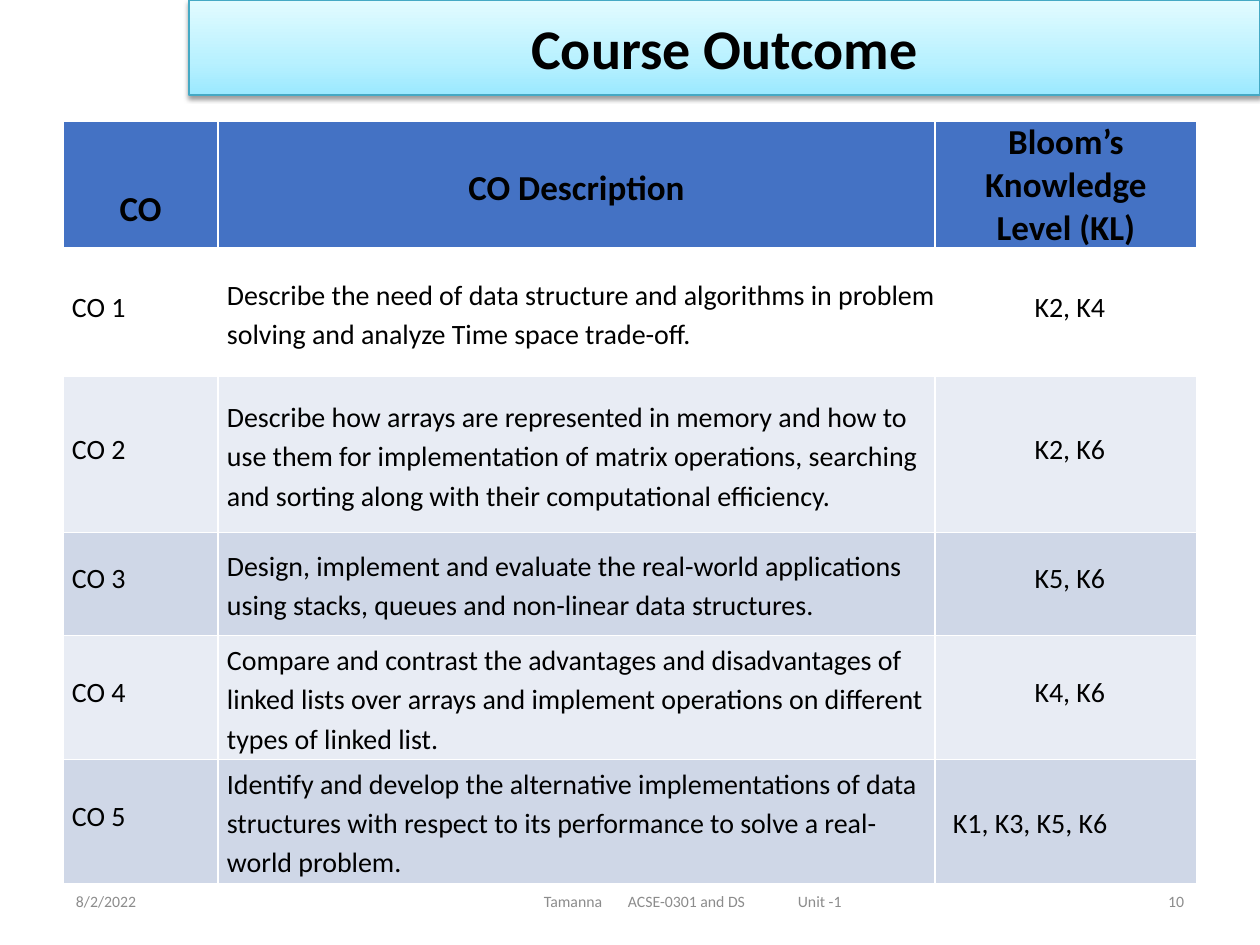
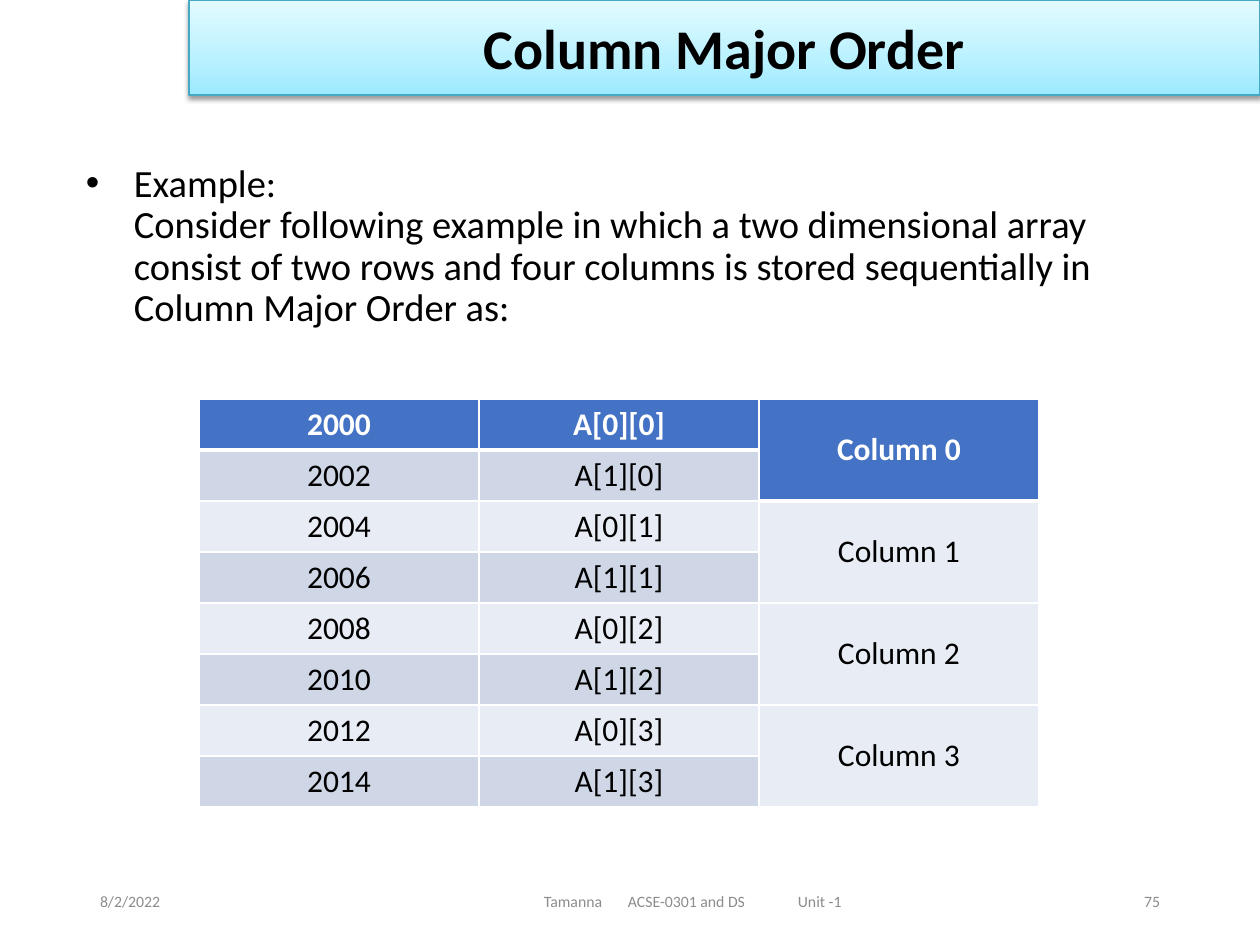
from lxml.etree import SubElement
from pptx import Presentation
from pptx.dml.color import RGBColor
from pptx.enum.shapes import MSO_SHAPE
from pptx.enum.text import MSO_ANCHOR, PP_ALIGN
from pptx.oxml.ns import qn
from pptx.util import Emu, Pt

SLIDE_W, SLIDE_H = 1260, 945
FONT = "Calibri"
BLACK, WHITE, GREY = "000000", "FFFFFF", "8C8C8C"
HEADER_BLUE, BAND_LIGHT, BAND_DARK = "4472C4", "E8ECF4", "CFD7E7"
TITLE_LINE = "45A9C4"
TITLE_STOPS = [(0, "9BE9FF"), (35, "B8F1FF"), (100, "E2FBFF")]
TITLE_BOX = (189, 0, 1071, 95)
FOOTER_TOP, FOOTER_H = 876, 50
LEFT, CENTER, RIGHT = PP_ALIGN.LEFT, PP_ALIGN.CENTER, PP_ALIGN.RIGHT

OUTCOME_HEADS = ["CO", "CO Description", "Bloom’s Knowledge Level (KL)"]
OUTCOMES = [
    ("Describe the need of data structure and algorithms in problem solving "
     "and analyze Time space trade-off.", "K2, K4"),
    ("Describe how arrays are represented in memory and how to use them for "
     "implementation of matrix operations, searching and sorting along with "
     "their computational efficiency.", "K2, K6"),
    ("Design, implement and evaluate the real-world applications using stacks, "
     "queues and non-linear data structures.", "K5, K6"),
    ("Compare and contrast the advantages and disadvantages of linked lists over "
     "arrays and implement operations on different types of linked list.", "K4, K6"),
    ("Identify and develop the alternative implementations of data structures with "
     "respect to its performance to solve a real-world problem.", "K1, K3, K5, K6"),
]
EXAMPLE = ("Example:\vConsider following example in which a two dimensional array "
           "consist of two rows and four columns is stored sequentially in "
           "Column Major Order as:")


def px(n):
    return Emu(round(n * 914400 / 126))


def rgb(value):
    return RGBColor.from_string(value)


def set_margins(obj, left, top, right, bottom):
    obj.margin_left, obj.margin_top = px(left), px(top)
    obj.margin_right, obj.margin_bottom = px(right), px(bottom)


def format_paragraph(p, size, color=BLACK, bold=False, align=LEFT, spacing=None):
    p.alignment = align
    if spacing:
        p.line_spacing = spacing
    for r in p.runs:
        r.font.name, r.font.size, r.font.bold = FONT, Pt(size), bold
        r.font.color.rgb = rgb(color)


def set_indent(p, left, first=0):
    pPr = p._p.get_or_add_pPr()
    pPr.set("marL", str(px(left)))
    pPr.set("indent", str(px(first)))
    return pPr


def add_text(slide, box, text, anchor=MSO_ANCHOR.MIDDLE, left_margin=13):
    """Add a wrapping text box and return its first paragraph."""
    tf = slide.shapes.add_textbox(*map(px, box)).text_frame
    tf.word_wrap = True
    tf.vertical_anchor = anchor
    set_margins(tf, left_margin, 6, 13, 6)
    p = tf.paragraphs[0]
    p.text = text
    return p


def add_title(slide, text, box=TITLE_BOX):
    sp = slide.shapes.add_shape(MSO_SHAPE.RECTANGLE, *map(px, box))
    sp.fill.gradient()
    sp.fill.gradient_angle = 90
    spPr = sp._element.spPr
    stops = spPr.find(".//" + qn("a:gsLst"))
    for stop in list(stops):
        stops.remove(stop)
    for pos, color in TITLE_STOPS:
        gs = SubElement(stops, qn("a:gs"), pos=str(pos * 1000))
        SubElement(gs, qn("a:srgbClr"), val=color)
    sp.line.color.rgb = rgb(TITLE_LINE)
    sp.line.width = Pt(0.75)
    sp.shadow.inherit = False
    shadow = SubElement(spPr.find(qn("a:effectLst")), qn("a:outerShdw"),
                        blurRad=str(Pt(3.1)), dist=str(Pt(1.6)),
                        dir="5400000", rotWithShape="0")
    tint = SubElement(shadow, qn("a:srgbClr"), val=BLACK)
    SubElement(tint, qn("a:alpha"), val="38000")
    tf = sp.text_frame
    tf.text = text
    tf.vertical_anchor = MSO_ANCHOR.MIDDLE
    set_margins(tf, 13, 6, 13, 6)
    format_paragraph(tf.paragraphs[0], 32, bold=True, align=CENTER)


def add_footer(slide, number, margin, width):
    """Date and number sit at equal margins; tabs space out the course line."""
    date = add_text(slide, (margin, FOOTER_TOP, width, FOOTER_H), "8/2/2022")
    format_paragraph(date, 9, GREY)

    course = add_text(slide, (346, FOOTER_TOP, 693, FOOTER_H),
                      "Tamanna\tACSE-0301 and DS\tUnit -1", left_margin=198)
    tabs = SubElement(course._p.get_or_add_pPr(), qn("a:tabLst"))
    for pos in (84, 254):
        SubElement(tabs, qn("a:tab"), pos=str(px(pos)), algn="l")
    format_paragraph(course, 9, GREY)

    number_left = SLIDE_W - margin - width
    page = add_text(slide, (number_left, FOOTER_TOP, width, FOOTER_H), str(number))
    format_paragraph(page, 9, GREY, align=RIGHT)


def add_grid(slide, left, top, col_widths, row_heights):
    frame = slide.shapes.add_table(
        len(row_heights), len(col_widths), px(left), px(top),
        px(sum(col_widths)), px(sum(row_heights)))
    table = frame.table
    for col, width in zip(table.columns, col_widths):
        col.width = px(width)
    for row, height in zip(table.rows, row_heights):
        row.height = px(height)
    return table


def style_cell(cell, fill, margins, top=1, bottom=1):
    """Fill a cell and give it white borders, top and bottom in points."""
    cell.fill.solid()
    cell.fill.fore_color.rgb = rgb(fill)
    cell.vertical_anchor = MSO_ANCHOR.MIDDLE
    set_margins(cell, *margins)
    tcPr = cell._tc.get_or_add_tcPr()
    sides = [("lnL", 1), ("lnR", 1), ("lnT", top), ("lnB", bottom)]
    for i, (side, width) in enumerate(sides):
        ln = SubElement(tcPr, qn("a:" + side), w=str(Pt(width)))
        line_fill = SubElement(ln, qn("a:solidFill"))
        SubElement(line_fill, qn("a:srgbClr"), val=WHITE)
        tcPr.insert(i, ln)


def fill_cell(cell, text):
    cell.text_frame.text = text
    return cell.text_frame.paragraphs[0]


def add_outcome_table(slide, left, top):
    table = add_grid(slide, left, top, [155, 717, 262],
                     [126, 127, 156, 103, 124, 124])
    for col, head in enumerate(OUTCOME_HEADS):
        cell = table.cell(0, col)
        style_cell(cell, HEADER_BLUE, (9, 42 if col == 0 else 0, 9, 0), bottom=3)
        format_paragraph(fill_cell(cell, head), 20, bold=True, align=CENTER,
                         spacing=1.15 if col < 2 else None)

    fills = [WHITE, BAND_LIGHT, BAND_DARK, BAND_LIGHT, BAND_DARK]
    for row, ((description, levels), fill) in enumerate(zip(OUTCOMES, fills), 1):
        id_cell, text_cell, level_cell = cells = [table.cell(row, c) for c in range(3)]
        for cell in cells:
            style_cell(cell, fill, (0, 0, 0, 0), top=3 if row == 1 else 1)
        p = fill_cell(id_cell, f"CO {row}")
        set_indent(p, 9)
        format_paragraph(p, 16, spacing=Pt(13.8))
        p = fill_cell(text_cell, description)
        set_indent(p, 9)
        format_paragraph(p, 16, spacing=1.15)
        p = fill_cell(level_cell, levels)
        if row == len(OUTCOMES):
            set_indent(p, 21, -3)
            format_paragraph(p, 16, spacing=1.15)
        else:
            set_indent(p, 8)
            format_paragraph(p, 16, align=CENTER, spacing=Pt(13.8))


def add_memory_table(slide, left, top, array_rows=2, array_cols=4):
    """List each array element with its address, grouped by array column."""
    count = array_rows * array_cols
    table = add_grid(slide, left, top, [280] * 3, [51] * count)
    for i in range(count):
        array_col, array_row = divmod(i, array_rows)
        group_start = i - array_row
        texts = [str(2000 + 2 * i), f"A[{array_row}][{array_col}]",
                 f"Column {array_col}" if array_row == 0 else ""]
        for col, text in enumerate(texts):
            grouped = col == 2
            start = group_start if grouped else i
            header = start == 0
            fill = HEADER_BLUE if header else (BAND_DARK if start % 2 else BAND_LIGHT)
            last_header = array_rows - 1 if grouped else 0
            cell = table.cell(i, col)
            style_cell(cell, fill, (3, 3, 3, 3),
                       top=3 if i == last_header + 1 else 1,
                       bottom=3 if i == last_header else 1)
            if text:
                format_paragraph(fill_cell(cell, text), 18,
                                 WHITE if header else BLACK, header, CENTER)
    for start in range(0, count, array_rows):
        table.cell(start, 2).merge(table.cell(start + array_rows - 1, 2))


def add_example(slide, box):
    p = add_text(slide, box, EXAMPLE, MSO_ANCHOR.TOP)
    p.line_spacing = 0.9
    pPr = set_indent(p, 48, -48)
    bullet_color = SubElement(pPr, qn("a:buClr"))
    SubElement(bullet_color, qn("a:srgbClr"), val=BLACK)
    SubElement(pPr, qn("a:buFont"), typeface="Arial")
    SubElement(pPr, qn("a:buChar"), char="•")
    format_paragraph(p, 22)


def add_outcome_slide(prs):
    slide = prs.slides.add_slide(prs.slide_layouts[6])
    add_outcome_table(slide, 63, 121)
    add_footer(slide, 10, margin=63, width=294)
    add_title(slide, "Course Outcome")


def add_column_major_slide(prs):
    slide = prs.slides.add_slide(prs.slide_layouts[6])
    add_example(slide, (73, 158, 1134, 672))
    add_footer(slide, 75, margin=87, width=284)
    add_title(slide, "Column Major Order")
    add_memory_table(slide, 199, 399)


def main():
    prs = Presentation()
    prs.slide_width, prs.slide_height = px(SLIDE_W), px(SLIDE_H)
    add_outcome_slide(prs)
    add_column_major_slide(prs)
    prs.save("out.pptx")


if __name__ == "__main__":
    main()
